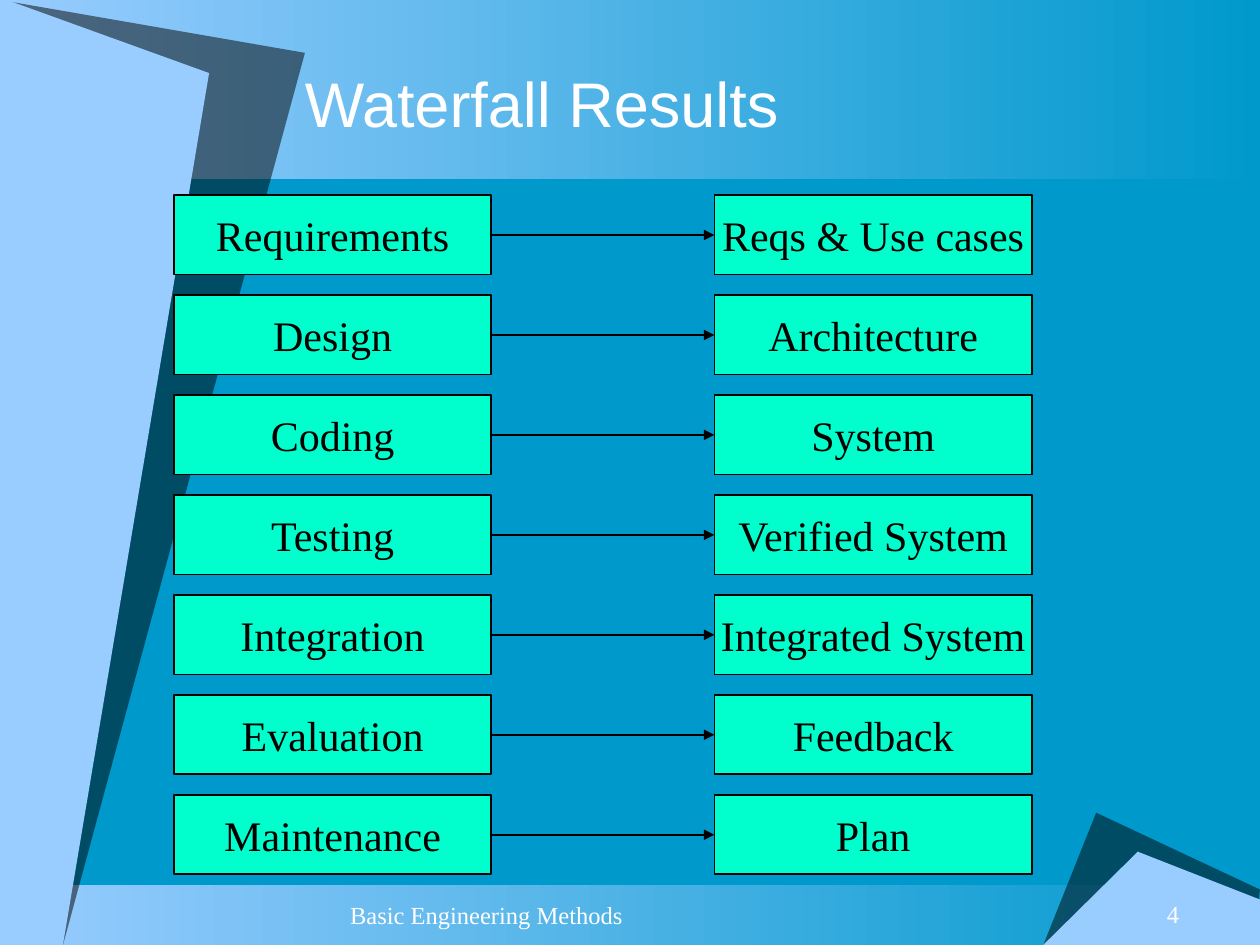
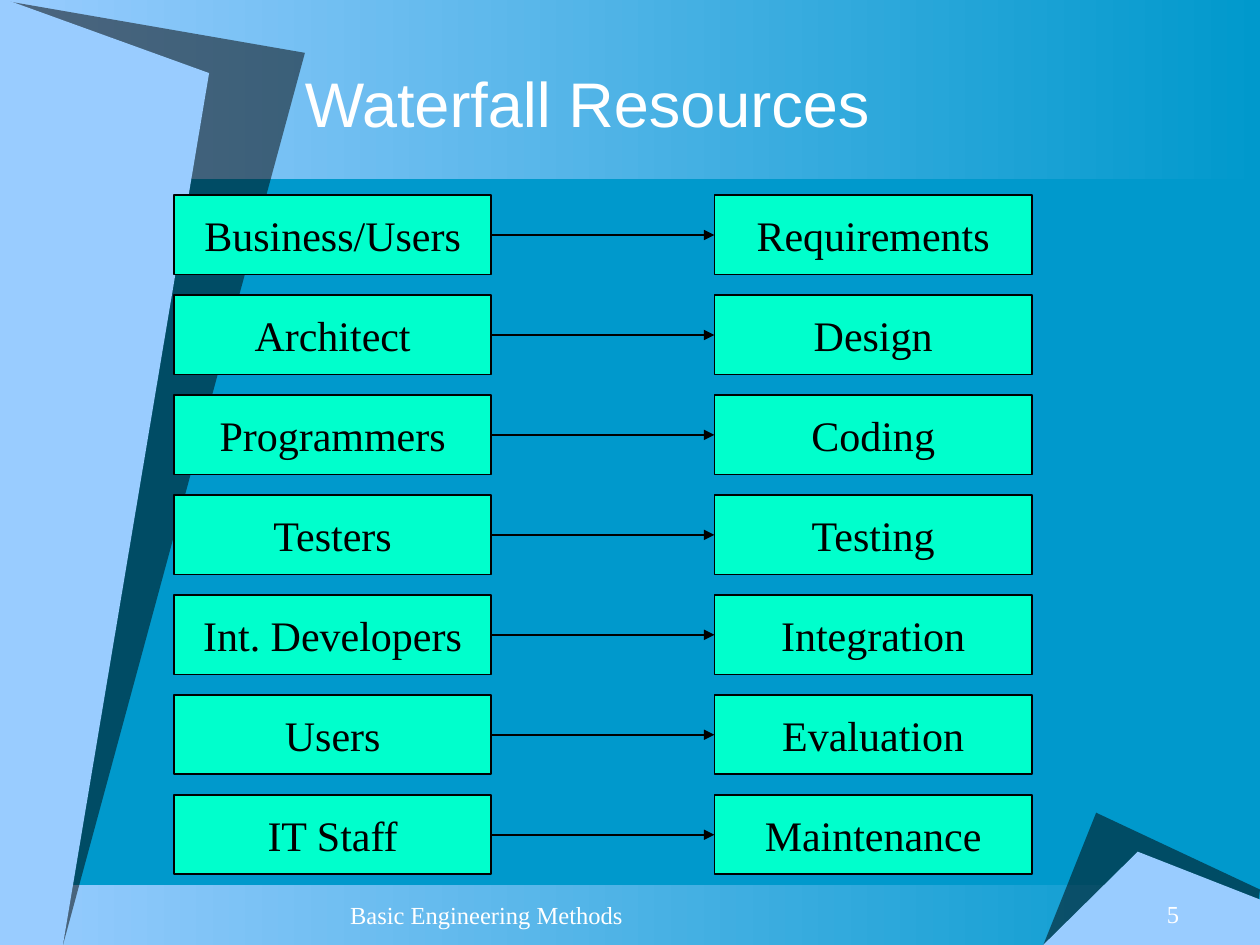
import pptx
import pptx.dml.color
import pptx.enum.shapes
import pptx.enum.text
import pptx.oxml
import pptx.oxml.ns
import pptx.util

Inches = pptx.util.Inches
Align = pptx.enum.text.PP_ALIGN
Anchor = pptx.enum.text.MSO_ANCHOR

COLOURS = {"ocean": "0099CC", "sky": "99CCFF", "mint": "00FFCC",
           "ink": "000000", "paper": "FFFFFF"}
FORMATS = {
    "title": {"name": "Arial", "size": pptx.util.Pt(36), "bold": False},
    "box": {"name": "Times New Roman", "size": pptx.util.Pt(24)},
    "footer": {"name": "Times New Roman", "size": pptx.util.Pt(14)},
}
TITLE_ONLY_LAYOUT = 5
FOOTER = "Basic Engineering Methods"

# Grid of paired boxes
LEFT_COLUMN, RIGHT_COLUMN = 1.38, 5.67
FIRST_ROW, LAST_ROW = 1.55, 6.31
BOX_WIDTH, BOX_HEIGHT = 2.52, 0.63
RIGHT_SIDE, LEFT_SIDE = 3, 1  # connection sites of a rectangle

# Folded paper outlines
CORNER_SHADE = [(8.7, 6.45), (10, 7.06), (9.94, 7.5), (8.28, 7.5)]
CORNER_PAPER = [(8.28, 7.5), (9.03, 6.76), (10, 7.14), (10, 7.5)]
SIDE_SHADE = [(0, 0), (2.42, 0.42), (0.5, 7.5), (0, 7.5)]
SIDE_PAPER = [(0, -0.02), (1.66, 0.58), (0.5, 7.5), (0, 7.5)]

SLIDES = [
    ("Waterfall Results", 4, [
        ("Requirements", "Reqs & Use cases"),
        ("Design", "Architecture"),
        ("Coding", "System"),
        ("Testing", "Verified System"),
        ("Integration", "Integrated System"),
        ("Evaluation", "Feedback"),
        ("Maintenance", "Plan"),
    ]),
    ("Waterfall Resources", 5, [
        ("Business/Users", "Requirements"),
        ("Architect", "Design"),
        ("Programmers", "Coding"),
        ("Testers", "Testing"),
        ("Int. Developers", "Integration"),
        ("Users", "Evaluation"),
        ("IT Staff", "Maintenance"),
    ]),
]


def colour(name):
    return pptx.dml.color.RGBColor.from_string(COLOURS[name])


def add_xml(parent, tag, **attributes):
    element = pptx.oxml.parse_xml(f"<a:{tag} {pptx.oxml.ns.nsdecls('a')}/>")
    for name, value in attributes.items():
        element.set(name, value)
    parent.append(element)


class Deck:
    def __init__(self):
        self.presentation = pptx.Presentation()
        self.presentation.slide_width = Inches(10)
        self.presentation.slide_height = Inches(7.5)
        background = self.presentation.slide_master.background.fill
        background.solid()
        background.fore_color.rgb = colour("ocean")
        self.slide = None

    def add_slide(self, title, number):
        layout = self.presentation.slide_layouts[TITLE_ONLY_LAYOUT]
        self.slide = self.presentation.slides.add_slide(layout)
        self.backdrop()
        self.title(title)
        self.footer(FOOTER, (2.44, 7.02, 5.57, 0.48), Align.LEFT)
        self.footer(str(number), (8.66, 7.02, 1.06, 0.46), Align.CENTER)

    def backdrop(self):
        self.band(7.02, 0.48)
        self.outline(CORNER_SHADE, "ink", opacity=50)
        self.outline(CORNER_PAPER, "sky")
        self.band(0, 1.42)
        self.outline(SIDE_SHADE, "ink", opacity=50)
        self.outline(SIDE_PAPER, "sky")

    def rectangle(self, left, top, width, height):
        shape = self.slide.shapes.add_shape(
            pptx.enum.shapes.MSO_SHAPE.RECTANGLE,
            Inches(left), Inches(top), Inches(width), Inches(height))
        shape.shadow.inherit = False
        return shape

    def band(self, top, height):
        shape = self.rectangle(0, top, 10, height)
        shape.line.fill.background()
        shape.fill.gradient()
        shape.fill.gradient_angle = 0
        for stop, name in zip(shape.fill.gradient_stops, ("sky", "ocean")):
            stop.color.rgb = colour(name)

    def outline(self, points, fill, opacity=100):
        corners = [(Inches(x), Inches(y)) for x, y in points]
        builder = self.slide.shapes.build_freeform(*corners[0])
        builder.add_line_segments(corners[1:], close=True)
        shape = builder.convert_to_shape()
        shape.shadow.inherit = False
        shape.line.fill.background()
        shape.fill.solid()
        shape.fill.fore_color.rgb = colour(fill)
        if opacity < 100:
            fill_colour = shape.element.spPr.find(
                f".//{pptx.oxml.ns.qn('a:srgbClr')}")
            add_xml(fill_colour, "alpha", val=str(opacity * 1000))

    def set_text(self, shape, text, style, text_colour, alignment, anchor,
                 wrap=True):
        frame = shape.text_frame
        frame.text = text
        frame.auto_size = pptx.enum.text.MSO_AUTO_SIZE.NONE
        frame.word_wrap = wrap
        frame.vertical_anchor = anchor
        paragraph = frame.paragraphs[0]
        paragraph.alignment = alignment
        font = paragraph.runs[0].font
        for name, value in FORMATS[style].items():
            setattr(font, name, value)
        font.color.rgb = colour(text_colour)
        return paragraph

    def title(self, text):
        shape = self.slide.shapes.title
        place = {"left": 2.32, "top": 0, "width": 7.51, "height": 1.16}
        for name, value in place.items():
            setattr(shape, name, Inches(value))
        self.set_text(shape, text, "title", "paper", Align.LEFT, Anchor.BOTTOM)
        # Bring the title in front of the backdrop
        shape.element.getparent().append(shape.element)

    def footer(self, text, place, alignment):
        shape = self.slide.shapes.add_textbox(*map(Inches, place))
        paragraph = self.set_text(shape, text, "footer", "paper", alignment,
                                  Anchor.MIDDLE)
        paragraph._p.get_or_add_pPr().set("marL", str(Inches(0.24)))

    def box(self, text, left, top):
        shape = self.rectangle(left, top, BOX_WIDTH, BOX_HEIGHT)
        shape.fill.solid()
        shape.fill.fore_color.rgb = colour("mint")
        shape.line.color.rgb = colour("ink")
        shape.line.width = pptx.util.Pt(1)
        self.set_text(shape, text, "box", "ink", Align.CENTER, Anchor.MIDDLE,
                      wrap=False)
        return shape

    def arrow(self, source, target):
        connector = self.slide.shapes.add_connector(
            pptx.enum.shapes.MSO_CONNECTOR.STRAIGHT, 0, 0, 0, 0)
        connector.begin_connect(source, RIGHT_SIDE)
        connector.end_connect(target, LEFT_SIDE)
        connector.line.color.rgb = colour("ink")
        connector.line.width = pptx.util.Pt(1)
        add_xml(connector.line._get_or_add_ln(), "tailEnd", type="triangle")
        add_xml(connector.element.spPr, "effectLst")

    def pairs(self, rows):
        step = (LAST_ROW - FIRST_ROW) / (len(rows) - 1)
        for index, (source, target) in enumerate(rows):
            top = FIRST_ROW + index * step
            self.arrow(self.box(source, LEFT_COLUMN, top),
                       self.box(target, RIGHT_COLUMN, top))


def main():
    deck = Deck()
    for title, number, rows in SLIDES:
        deck.add_slide(title, number)
        deck.pairs(rows)
    deck.presentation.save("out.pptx")


if __name__ == "__main__":
    main()
